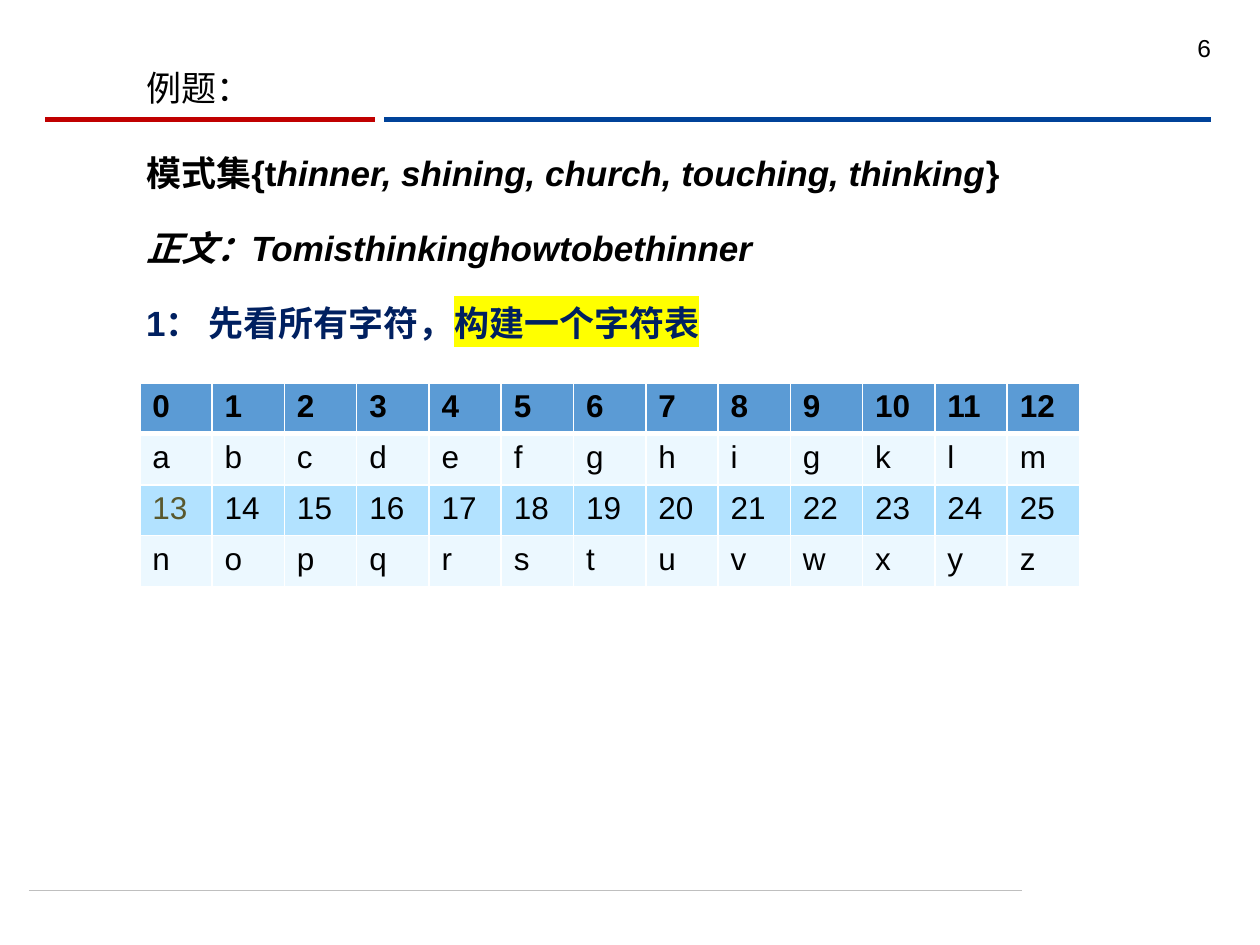
from lxml.etree import SubElement
from pptx import Presentation
from pptx.dml.color import RGBColor
from pptx.enum.text import MSO_ANCHOR, MSO_AUTO_SIZE, PP_ALIGN
from pptx.oxml.ns import qn
from pptx.util import Inches, Pt

THEME = {
    "font": "Arial",
    "text_size": 20, "table_size": 18, "number_size": 14,
    "black": "000000", "navy": "002060", "olive": "59582D",
    "highlight": "FFFF00", "white": "FFFFFF",
    "header": "5B9BD5", "light_band": "ECF8FF", "dark_band": "B2E2FF",
    "red": "C00000", "blue": "004299", "gray": "BFBFBF",
}

TITLE = "例题："
PAGE_NUMBER = "6"
BOLD = {"bold": True}
BOLD_ITALIC = {"bold": True, "italic": True}
# Each paragraph is a list of (text, font format, colour, highlight)
STATEMENTS = [
    [("模式集{t", BOLD, "black", None),
     ("hinner, shining, church, touching, thinking", BOLD_ITALIC, "black", None),
     ("}", BOLD, "black", None)],
    [("正文：Tomisthinkinghowtobethinner", BOLD_ITALIC, "black", None)],
    [("1： 先看所有字符，", BOLD, "navy", None),
     ("构建一个字符表", BOLD, "navy", "highlight")],
]
CHARACTER_TABLE = [
    list(range(13)),
    list("abcdefghigklm"),
    list(range(13, 26)),
    list("nopqrstuvwxyz"),
]
ROW_FILLS = ["header", "light_band", "dark_band", "light_band"]
ROW_HEIGHTS = [0.4, 0.41, 0.4, 0.41]
TABLE_BOX = (1.11, 3.04, 7.46, 1.62)
# (start x, end x, y, colour, width in points)
RULES = [
    (0.23, 8.11, 7.07, "gray", 0.5),
    (3.05, 9.61, 0.95, "blue", 3),
    (0.36, 2.98, 0.95, "red", 3),
]


def color(name):
    return RGBColor.from_string(THEME[name])


def add_run(paragraph, text, size, fmt=None, color_name="black", highlight=None):
    run = paragraph.add_run()
    run.text = str(text)
    settings = {"name": THEME["font"], "size": Pt(THEME[size]),
                "bold": False, "italic": False, **(fmt or {})}
    for attribute, value in settings.items():
        setattr(run.font, attribute, value)
    run.font.color.rgb = color(color_name)
    if highlight:
        marker = SubElement(run.font._element, qn("a:highlight"))
        SubElement(marker, qn("a:srgbClr"), val=THEME[highlight])
        run.font._element.find(qn("a:solidFill")).addnext(marker)


def place(shape, left, top, width, height):
    """Set the position and a top-anchored frame without vertical insets."""
    box = {"left": left, "top": top, "width": width, "height": height}
    for attribute, value in box.items():
        setattr(shape, attribute, Inches(value))
    frame_format = {"word_wrap": True, "auto_size": MSO_AUTO_SIZE.NONE,
                    "vertical_anchor": MSO_ANCHOR.TOP,
                    "margin_top": 0, "margin_bottom": 0}
    for attribute, value in frame_format.items():
        setattr(shape.text_frame, attribute, value)
    return shape.text_frame


def add_rule(slide, start, end, y, color_name, width):
    rule = slide.shapes.add_connector(
        1, Inches(start), Inches(y), Inches(end), Inches(y))
    rule.line.color.rgb = color(color_name)
    rule.line.width = Pt(width)
    SubElement(rule._element.spPr, qn("a:effectLst"))


def add_statements(body):
    frame = place(body, 1.06, 1.2, 7.5, 1.8)
    for index, runs in enumerate(STATEMENTS):
        paragraph = frame.paragraphs[0] if index == 0 else frame.add_paragraph()
        paragraph.alignment = PP_ALIGN.LEFT
        paragraph.line_spacing = 1.0
        paragraph.space_before = Pt(19 if index else 0)
        properties = paragraph._p.get_or_add_pPr()
        properties.set("marL", "0")
        properties.set("indent", "0")
        SubElement(properties, qn("a:buNone"))
        for text, fmt, color_name, highlight in runs:
            add_run(paragraph, text, "text_size", fmt, color_name, highlight)


def set_borders(cell, widths):
    properties = cell._tc.get_or_add_tcPr()
    for side, width in widths.items():
        border = SubElement(properties, qn(f"a:ln{side}"), w=str(Pt(width)))
        fill = SubElement(border, qn("a:solidFill"))
        SubElement(fill, qn("a:srgbClr"), val=THEME["white"])


def add_character_table(slide):
    table = slide.shapes.add_table(
        len(CHARACTER_TABLE), len(CHARACTER_TABLE[0]),
        *map(Inches, TABLE_BOX)).table
    for column in table.columns:
        column.width = Inches(TABLE_BOX[2] / len(table.columns))
    for r, values in enumerate(CHARACTER_TABLE):
        table.rows[r].height = Inches(ROW_HEIGHTS[r])
        for c, value in enumerate(values):
            cell = table.cell(r, c)
            set_borders(cell, {"L": 1, "R": 1, "T": 3 if r == 1 else 1,
                               "B": 3 if r == 0 else 1})
            cell.fill.solid()
            cell.fill.fore_color.rgb = color(ROW_FILLS[r])
            add_run(cell.text_frame.paragraphs[0], value, "table_size",
                    {"bold": r == 0}, "olive" if value == 13 else "black")


def main():
    presentation = Presentation()
    presentation.slide_width, presentation.slide_height = Inches(10), Inches(7.5)
    slide = presentation.slides.add_slide(presentation.slide_layouts[1])

    for rule in RULES:
        add_rule(slide, *rule)

    number_box = slide.shapes.add_textbox(0, 0, 0, 0)
    number = place(number_box, 9.1, 0.26, 0.61, 0.42).paragraphs[0]
    number.alignment = PP_ALIGN.RIGHT
    add_run(number, PAGE_NUMBER, "number_size")

    title = place(slide.shapes.title, 1.06, 0.53, 7.5, 0.42).paragraphs[0]
    title.alignment = PP_ALIGN.LEFT
    add_run(title, TITLE, "text_size")

    add_statements(slide.placeholders[1])
    add_character_table(slide)
    presentation.save("out.pptx")


if __name__ == "__main__":
    main()
